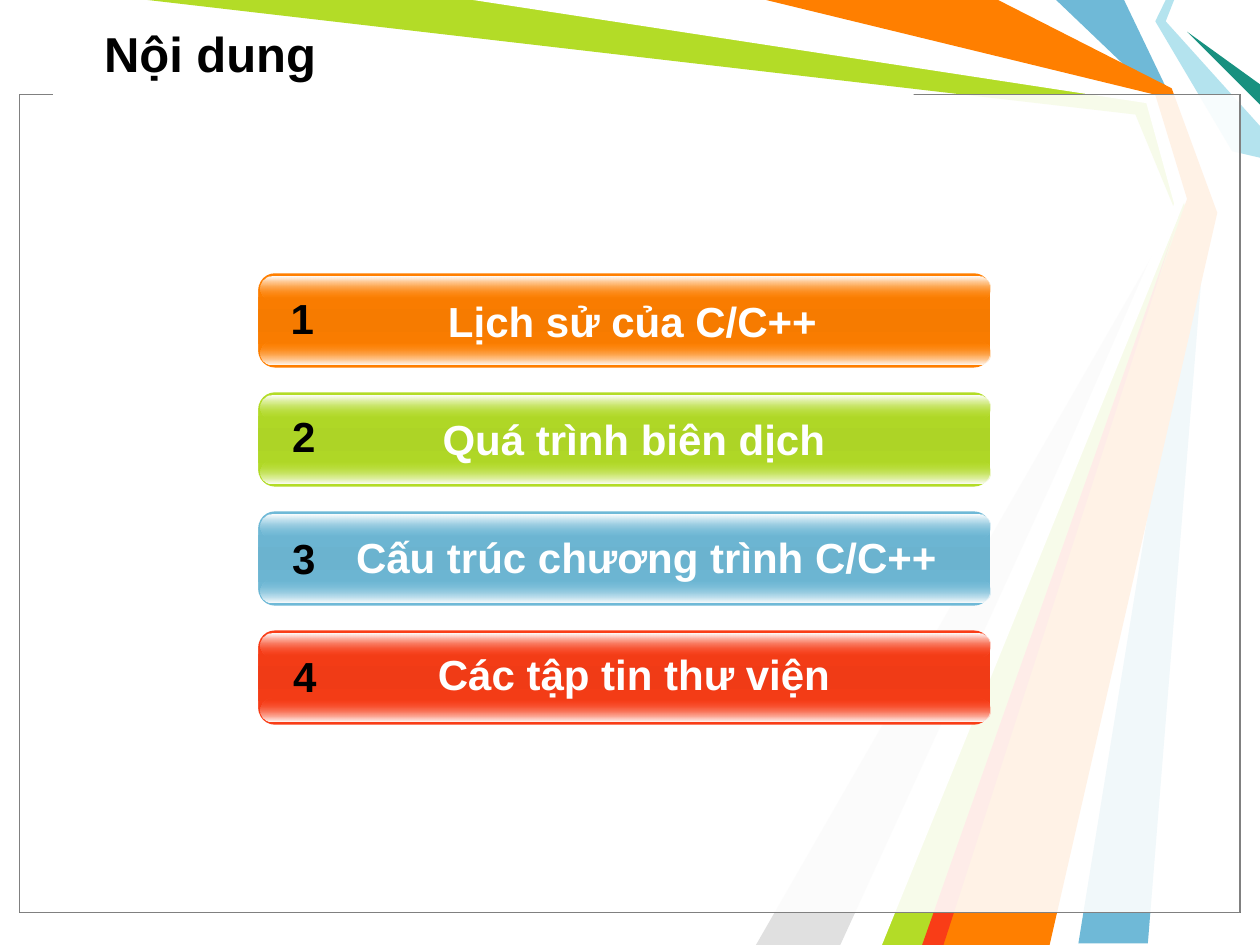
"""Build the table-of-contents slide with four glossy bars over a ribbon background."""
from lxml import etree
from pptx import Presentation
from pptx.dml.color import RGBColor
from pptx.enum.shapes import MSO_SHAPE
from pptx.enum.text import MSO_ANCHOR, PP_ALIGN
from pptx.oxml import parse_xml
from pptx.oxml.ns import nsdecls, qn
from pptx.util import Cm, Pt

RECTANGLE = MSO_SHAPE.RECTANGLE
ROUNDED = MSO_SHAPE.ROUNDED_RECTANGLE
MIDDLE = MSO_ANCHOR.MIDDLE
TOP = MSO_ANCHOR.TOP
LEFT = PP_ALIGN.LEFT
CENTER = PP_ALIGN.CENTER

WHITE = RGBColor(0xFF, 0xFF, 0xFF)
BLACK = RGBColor(0x00, 0x00, 0x00)
GRAY = RGBColor(0x80, 0x80, 0x80)
SILVER = RGBColor(0xE0, 0xE0, 0xE0)
BLUE = RGBColor(0x6F, 0xB9, 0xD7)
DEEP_BLUE = RGBColor(0x6B, 0xB3, 0xCF)
GREEN = RGBColor(0xB3, 0xDC, 0x27)
DEEP_GREEN = RGBColor(0xAD, 0xD4, 0x26)
ORANGE = RGBColor(0xFF, 0x7F, 0x00)
DEEP_ORANGE = RGBColor(0xF6, 0x7B, 0x00)
RED = RGBColor(0xF9, 0x3D, 0x17)
DEEP_RED = RGBColor(0xF0, 0x3B, 0x16)
AQUA = RGBColor(0xB4, 0xE3, 0xEE)
TEAL = RGBColor(0x18, 0x91, 0x80)

RIBBONS = [
    (BLUE, [(2266, 0), (2360, 196), (2433, 424), (2314, 1902), (2174, 1902),
            (2413, 424), (2329, 191), (2129, 0)]),
    (GREEN, [(297, 0), (973, 0), (2322, 198), (2393, 429), (1885, 1905),
             (1758, 1905), (2375, 439), (2289, 231)]),
    (SILVER, [(1694, 1905), (2355, 460), (1524, 1905)]),
    (WHITE, [(953, 0), (2311, 208), (2367, 411), (1715, 1905), (1778, 1905),
             (2390, 401), (2329, 191), (1524, 0)]),
    (AQUA, [(2350, 0), (2329, 43), (2484, 305), (2540, 318), (2540, 254),
            (2350, 43), (2367, 0)]),
    (TEAL, [(2540, 211), (2393, 64), (2540, 170)]),
    (ORANGE, [(1544, 0), (2012, 0), (2362, 178), (2454, 429), (2116, 1905),
              (1862, 1905), (2393, 401), (2329, 191)]),
    (RED, [(1859, 1905), (2367, 465), (1902, 1905)]),
]

TOPICS = [
    ("Lịch sử của C/C++", ORANGE, DEEP_ORANGE, 6.5, 5.56, 5.77),
    ("Quá trình biên dịch", GREEN, DEEP_GREEN, 6.53, 5.59, 8.15),
    ("Cấu trúc chương trình C/C++", BLUE, DEEP_BLUE, 6.78, 5.59, 10.62),
    ("Các tập tin thư viện", RED, DEEP_RED, 6.53, 5.61, 12.98),
]
BAR_TOP, BAR_STEP = 5.51, 2.4
LABEL_TOP, LABEL_STEP = 5.84, 2.37


def add_bar(left, top, width, height, corner, stops):
    shape = slide.shapes.add_shape(ROUNDED, Cm(left), Cm(top), Cm(width), Cm(height))
    shape.adjustments[0] = corner
    shape.shadow.inherit = False
    shape.line.fill.background()
    shape.fill.background()
    stop_xml = "".join(
        f'<a:gs pos="{position * 1000}"><a:srgbClr val="{color}">'
        f'<a:alpha val="{opacity * 1000}"/></a:srgbClr></a:gs>'
        for position, color, opacity in stops)
    gradient = parse_xml(
        f'<a:gradFill {nsdecls("a")} rotWithShape="1"><a:gsLst>{stop_xml}</a:gsLst>'
        '<a:lin ang="5400000" scaled="1"/></a:gradFill>')
    properties = shape.element.spPr
    properties.replace(properties.find(qn("a:noFill")), gradient)


def add_text(text, left, top, width, height, size, color, alignment, anchor):
    box = slide.shapes.add_textbox(Cm(left), Cm(top), Cm(width), Cm(height))
    box.text_frame.word_wrap = True
    box.text_frame.vertical_anchor = anchor
    paragraph = box.text_frame.paragraphs[0]
    paragraph.text = text
    paragraph.alignment = alignment
    paragraph.font.name = "Arial"
    paragraph.font.size = Pt(size)
    paragraph.font.bold = True
    paragraph.font.color.rgb = color


presentation = Presentation()
presentation.slide_width = Cm(25.4)
presentation.slide_height = Cm(19.05)
slide = presentation.slides.add_slide(presentation.slide_layouts[6])

for color, points in RIBBONS:
    builder = slide.shapes.build_freeform(*points[0], scale=Cm(0.01))
    builder.add_line_segments(points[1:], close=True)
    ribbon = builder.convert_to_shape()
    ribbon.shadow.inherit = False
    ribbon.fill.solid()
    ribbon.fill.fore_color.rgb = color
    ribbon.line.fill.background()

for line_color in (BLACK, GRAY):
    panel = slide.shapes.add_shape(RECTANGLE, Cm(0.4), Cm(1.9), Cm(24.6), Cm(16.5))
    panel.shadow.inherit = False
    panel.fill.solid()
    panel.fill.fore_color.rgb = WHITE
    panel_color = panel.element.spPr.find(qn("a:solidFill"))[0]
    etree.SubElement(panel_color, qn("a:alpha")).set("val", "69000")
    panel.line.color.rgb = line_color
    panel.line.width = Pt(0.75)

title_gap = slide.shapes.add_shape(RECTANGLE, Cm(1.07), Cm(1.88), Cm(17.35), Cm(0.43))
title_gap.shadow.inherit = False
title_gap.fill.solid()
title_gap.fill.fore_color.rgb = WHITE
title_gap.line.fill.background()

for row, (topic, color, deep_color, label_left, number_left, number_top) in enumerate(TOPICS):
    top = BAR_TOP + row * BAR_STEP
    add_bar(5.21, top, 14.76, 1.9, 0.175,
            [(0, color, 100), (50, deep_color, 100), (100, color, 100)])
    add_bar(5.26, top + 1.37, 14.71, 0.46, 0.5, [(0, color, 0), (100, WHITE, 100)])
    add_bar(5.26, top + 0.06, 14.71, 0.46, 0.5, [(0, WHITE, 100), (100, color, 0)])
    add_text(topic, label_left, LABEL_TOP + row * LABEL_STEP, 12.5, 1.27, 24, WHITE, CENTER, TOP)
    add_text(str(row + 1), number_left, number_top, 1.07, 1.27, 24, BLACK, CENTER, TOP)

add_text("Nội dung", 1.85, 0.2, 23.14, 1.75, 28, BLACK, LEFT, MIDDLE)

presentation.save("out.pptx")
